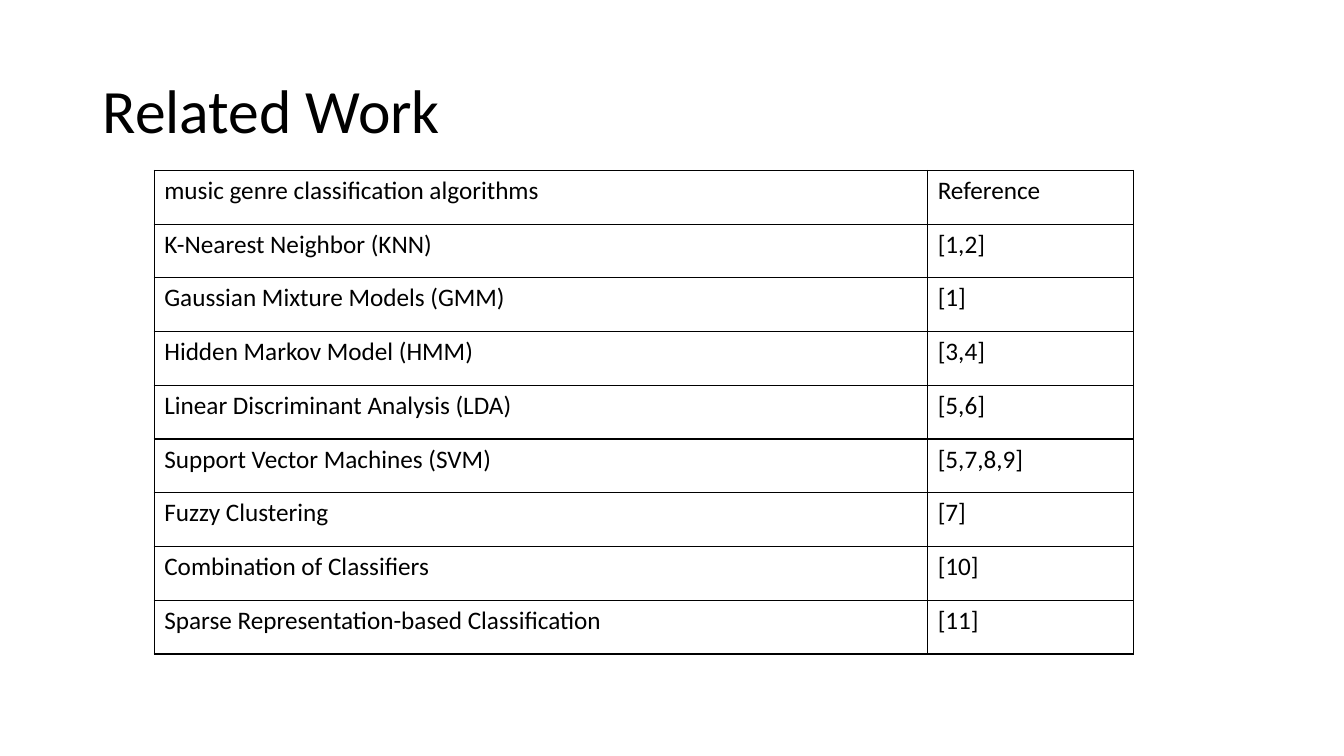
from collections import namedtuple
from dataclasses import dataclass
from lxml.etree import SubElement
from pptx import Presentation
from pptx.dml.color import RGBColor
from pptx.enum.text import MSO_ANCHOR, PP_ALIGN
from pptx.oxml.ns import qn
from pptx.util import Inches, Pt


@dataclass(frozen=True)
class Theme:
    font: str = "Calibri"
    ink: str = "000000"
    title_size: int = 44
    table_size: int = 18
    border_width: int = 1


Box = namedtuple("Box", "left top width height")
THEME = Theme()
REFERENCE_SHARE = 0.21
ALGORITHMS = [
    ("music genre classification algorithms", "Reference"),
    ("K-Nearest Neighbor (KNN)", "[1,2]"),
    ("Gaussian Mixture Models (GMM)", "[1]"),
    ("Hidden Markov Model (HMM)", "[3,4]"),
    ("Linear Discriminant Analysis (LDA)", "[5,6]"),
    ("Support Vector Machines (SVM)", "[5,7,8,9]"),
    ("Fuzzy Clustering", "[7]"),
    ("Combination of Classifiers", "[10]"),
    ("Sparse Representation-based Classification", "[11]"),
]


def style_paragraph(para, size):
    para.alignment = PP_ALIGN.LEFT
    para.font.name = THEME.font
    para.font.size = Pt(size)
    para.font.color.rgb = RGBColor.from_string(THEME.ink)


def add_borders(cell):
    properties = cell._tc.get_or_add_tcPr()
    for side in ("a:lnL", "a:lnR", "a:lnT", "a:lnB"):
        line = SubElement(properties, qn(side), w=str(Pt(THEME.border_width)))
        fill = SubElement(line, qn("a:solidFill"))
        SubElement(fill, qn("a:srgbClr"), val=THEME.ink)


def place_title(page, box, text):
    title = page.shapes.title
    title.left, title.top, title.width, title.height = map(Inches, box)
    frame = title.text_frame
    frame.text = text
    frame.word_wrap = True
    frame.vertical_anchor = MSO_ANCHOR.MIDDLE
    para = frame.paragraphs[0]
    para.line_spacing = 0.9
    style_paragraph(para, THEME.title_size)


def place_algorithm_table(page, box, rows):
    shape = page.shapes.add_table(len(rows), len(rows[0]), *map(Inches, box))
    table = shape.table
    table.first_row = table.horz_banding = False
    for column, share in zip(table.columns, (1 - REFERENCE_SHARE, REFERENCE_SHARE)):
        column.width = Inches(box.width * share)
    for row, texts in zip(table.rows, rows):
        row.height = Inches(box.height / len(rows))
        for cell, text in zip(row.cells, texts):
            cell.text = text
            style_paragraph(cell.text_frame.paragraphs[0], THEME.table_size)
            add_borders(cell)
            cell.fill.background()


def build_related_work(deck):
    page = deck.slides.add_slide(deck.slide_layouts[5])
    place_title(page, Box(0.92, 0.4, 11.5, 1.45), "Related Work")
    place_algorithm_table(page, Box(1.53, 1.69, 9.71, 4.8), ALGORITHMS)


deck = Presentation()
deck.slide_width, deck.slide_height = Inches(13.33), Inches(7.5)
build_related_work(deck)
deck.save("out.pptx")
